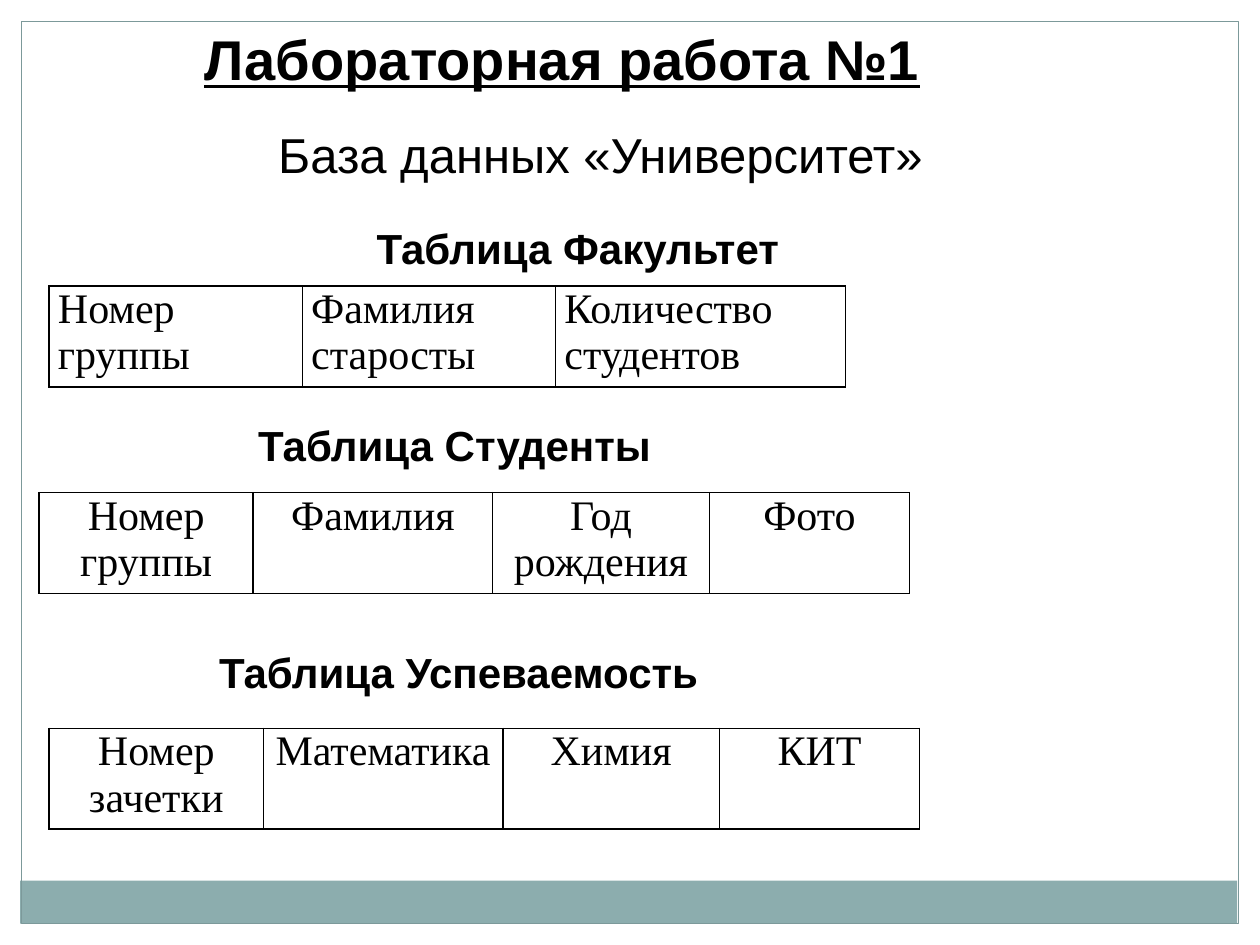
from lxml import etree
from pptx import Presentation
from pptx.dml.color import RGBColor
from pptx.enum.shapes import MSO_SHAPE
from pptx.enum.text import MSO_ANCHOR, MSO_AUTO_SIZE, PP_ALIGN
from pptx.oxml.ns import qn
from pptx.util import Inches, Pt

RECT = MSO_SHAPE.RECTANGLE
TOP, MIDDLE = MSO_ANCHOR.TOP, MSO_ANCHOR.MIDDLE
LEFT, CENTER, JUSTIFY = PP_ALIGN.LEFT, PP_ALIGN.CENTER, PP_ALIGN.JUSTIFY
NO_AUTOSIZE = MSO_AUTO_SIZE.NONE

COLORS = {"text": "000000", "band": "8CADAE", "frame": "7C999A"}
ROW_HEIGHT = 0.8
FACULTY_COLS = [2.01, 2.01, 2.3]
WIDE_COLS = [1.7, 1.9, 1.72, 1.59]

# caption, caption box, table position, column widths, alignment, fields
TABLES = [
    ("Таблица Факультет", (2.89, 1.72, 3.43, 0.5), (0.39, 2.27), FACULTY_COLS, JUSTIFY,
     ["Номер группы", "Фамилия старосты", "Количество студентов"]),
    ("Таблица Студенты", (1.95, 3.28, 3.35, 0.5), (0.31, 3.91), WIDE_COLS, CENTER,
     ["Номер группы", "Фамилия", "Год рождения", "Фото"]),
    ("Таблица Успеваемость", (1.64, 5.08, 4.04, 0.5), (0.39, 5.78), WIDE_COLS, CENTER,
     ["Номер зачетки", "Математика", "Химия", "КИТ"]),
]


def rgb(name):
    return RGBColor.from_string(COLORS[name])


def write(tf, text, size=24, font="Arial", bold=False, underline=False, align=LEFT):
    p = tf.paragraphs[0]
    p.alignment = align
    r = p.add_run()
    r.text = text
    r.font.size = Pt(size)
    r.font.name = font
    r.font.bold = bold
    r.font.underline = underline
    r.font.color.rgb = rgb("text")
    return p


def add_rect(s, box, fill=None, line=None):
    sp = s.shapes.add_shape(RECT, *map(Inches, box))
    sp.shadow.inherit = False
    if fill:
        sp.fill.solid()
        sp.fill.fore_color.rgb = rgb(fill)
    else:
        sp.fill.background()
    if line:
        sp.line.color.rgb = rgb(line)
        sp.line.width = Pt(0.75)
    else:
        sp.line.fill.background()


def set_title(s, text):
    sp = s.shapes.title
    sp.left, sp.top, sp.width, sp.height = map(Inches, (1.02, 0.23, 8.05, 0.55))
    tf = sp.text_frame
    tf.auto_size = NO_AUTOSIZE
    tf.vertical_anchor = TOP
    p = write(tf, text, size=32, bold=True, underline=True, align=JUSTIFY)
    p.line_spacing = Pt(32)
    p._p.get_or_add_pPr().set("indent", str(Inches(0.5)))


def add_text(s, box, text, wrap=False, anchor=TOP, bottom=0.05, **fmt):
    tf = s.shapes.add_textbox(*map(Inches, box)).text_frame
    tf.word_wrap = wrap
    tf.vertical_anchor = anchor
    tf.margin_bottom = Inches(bottom)
    write(tf, text, **fmt)


def add_borders(cell):
    tcPr = cell._tc.get_or_add_tcPr()
    for side in ("lnL", "lnR", "lnT", "lnB"):
        ln = etree.SubElement(tcPr, qn(f"a:{side}"), w=str(Pt(1)))
        fill = etree.SubElement(ln, qn("a:solidFill"))
        etree.SubElement(fill, qn("a:srgbClr"), val=COLORS["text"])


def add_field_table(s, position, widths, align, fields):
    """Add a one-row table that lists the fields of a database table."""
    size = (sum(widths), ROW_HEIGHT)
    table = s.shapes.add_table(1, len(fields), *map(Inches, position + size)).table
    table.first_row = table.horz_banding = False
    for col, width in zip(table.columns, widths):
        col.width = Inches(width)
    for cell, field in zip(table.rows[0].cells, fields):
        cell.margin_left = cell.margin_right = Inches(0.07)
        cell.margin_top = cell.margin_bottom = 0
        add_borders(cell)
        cell.fill.background()
        write(cell.text_frame, field, font="Times New Roman", align=align)


def main():
    prs = Presentation()
    prs.slide_width, prs.slide_height = Inches(10), Inches(7.5)
    s = prs.slides.add_slide(prs.slide_layouts[5])

    add_rect(s, (0.16, 6.99, 9.66, 0.34), fill="band")
    add_rect(s, (0.17, 0.17, 9.66, 7.16), line="frame")
    set_title(s, "Лабораторная работа №1")
    add_text(s, (2.11, 0.94, 5.39, 0.52), "База данных «Университет»",
             wrap=True, anchor=MIDDLE, bottom=0, size=28)
    for caption, box, position, widths, align, fields in TABLES:
        add_text(s, box, caption, bold=True)
        add_field_table(s, position, widths, align, fields)

    prs.save("out.pptx")


if __name__ == "__main__":
    main()
